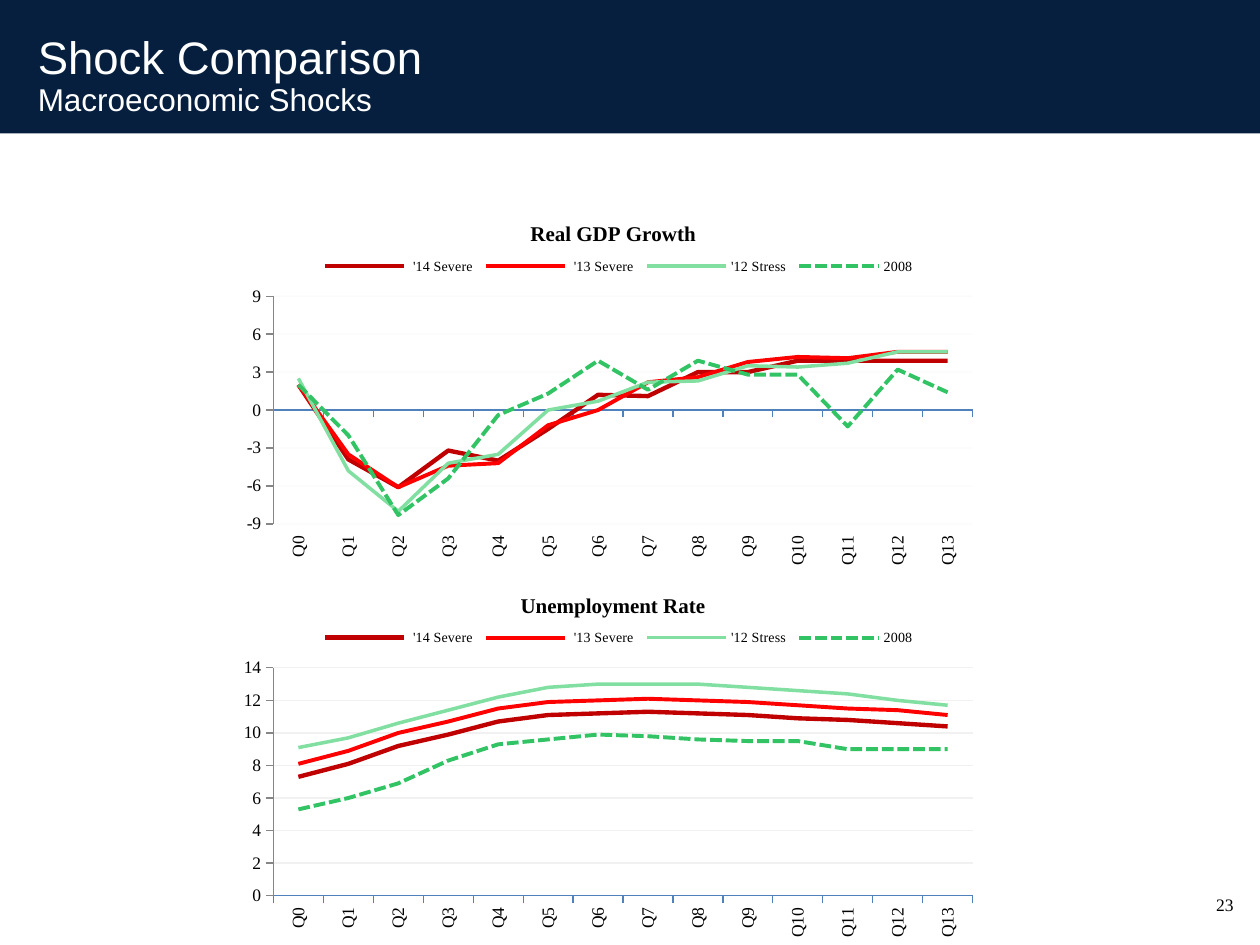
from lxml.etree import SubElement
from pptx import Presentation
from pptx.chart.data import CategoryChartData
from pptx.dml.color import RGBColor
from pptx.enum.chart import XL_CHART_TYPE as ChartType
from pptx.enum.chart import XL_LEGEND_POSITION as LegendPos
from pptx.enum.chart import XL_TICK_LABEL_POSITION as LabelPos
from pptx.enum.chart import XL_TICK_MARK as Tick
from pptx.enum.dml import MSO_LINE_DASH_STYLE as Dash
from pptx.enum.shapes import MSO_SHAPE
from pptx.enum.text import MSO_ANCHOR, PP_ALIGN
from pptx.oxml import parse_xml
from pptx.oxml.ns import nsdecls, qn
from pptx.util import Pt

PX = 9144  # 100 px to the inch
SANS, SERIF = "Arial", "Times New Roman"
QUARTERS = [f"Q{n}" for n in range(14)]
CHART_W, CHART_H = 600, 300

# name, colour, width in points, dash
SCENARIOS = [
    (" '14 Severe", "C00000", 2.5, None),
    (" '13 Severe", "FF0000", 2.25, None),
    ("'12 Stress", "81DFA1", 2, None),
    ("2008", "32C464", 2.25, Dash.SQUARE_DOT),
]
UNEMPLOYMENT = [
    [7.3, 8.1, 9.2, 9.9, 10.7, 11.1, 11.2, 11.3, 11.2, 11.1, 10.9, 10.8, 10.6, 10.4],
    [8.1, 8.9, 10, 10.7, 11.5, 11.9, 12, 12.1, 12, 11.9, 11.7, 11.5, 11.4, 11.1],
    [9.1, 9.7, 10.6, 11.4, 12.2, 12.8, 13, 13, 13, 12.8, 12.6, 12.4, 12, 11.7],
    [5.3, 6, 6.9, 8.3, 9.3, 9.6, 9.9, 9.8, 9.6, 9.5, 9.5, 9, 9, 9],
]
GDP_GROWTH = [
    [2, -3.9, -6.1, -3.2, -4, -1.5, 1.2, 1.1, 3, 3, 3.9, 3.9, 3.9, 3.9],
    [2, -3.5, -6.1, -4.4, -4.2, -1.2, 0, 2.2, 2.6, 3.8, 4.2, 4.1, 4.6, 4.6],
    [2.5, -4.8, -8, -4.2, -3.5, 0, 0.7, 2.2, 2.3, 3.5, 3.4, 3.7, 4.6, 4.6],
    [2, -2, -8.3, -5.4, -0.4, 1.3, 3.9, 1.6, 3.9, 2.8, 2.8, -1.3, 3.2, 1.4],
]


def px(*lengths):
    return [length * PX for length in lengths]


def rgb(color):
    return RGBColor.from_string(color)


def style_font(font, size, color="000000", name=SERIF, bold=False):
    font.size, font.name, font.bold = Pt(size), name, bold
    font.color.rgb = rgb(color)


def style_line(line, color, width):
    line.color.rgb = rgb(color)
    line.width = Pt(width)


def place_part(part, x, y, w=None, h=None):
    """Fix a chart part at px offsets inside the chart frame."""
    is_plot = part.tag == qn("c:plotArea")
    for old in part.findall(qn("c:layout")):
        part.remove(old)
    modes = '<c:layoutTarget val="inner"/>' if is_plot else ""
    modes += '<c:xMode val="edge"/><c:yMode val="edge"/>'
    sizes = zip("xywh", (x, y, w, h), (CHART_W, CHART_H) * 2)
    values = "".join(f'<c:{key} val="{length / full:.3f}"/>'
                     for key, length, full in sizes if length is not None)
    layout = parse_xml(f'<c:layout {nsdecls("c")}><c:manualLayout>{modes}{values}'
                       "</c:manualLayout></c:layout>")
    if is_plot:
        part.insert(0, layout)
    else:
        part.find(qn("c:overlay")).addprevious(layout)


def add_header(slide, x, y, w, h):
    band = slide.shapes.add_shape(MSO_SHAPE.RECTANGLE, *px(x, y, w, h))
    band.shadow.inherit = False
    band.fill.solid()
    band.fill.fore_color.rgb = rgb("061F3F")
    band.line.fill.background()

    heading = slide.shapes.title
    band._element.getparent().append(heading._element)  # bring in front of the band
    heading.left, heading.top, heading.width, heading.height = px(x + 20, y + 22, 925, 77)
    frame = heading.text_frame
    frame.text = "Shock Comparison\vMacroeconomic Shocks"
    frame.vertical_anchor = MSO_ANCHOR.BOTTOM
    paragraph = frame.paragraphs[0]
    paragraph.alignment = PP_ALIGN.LEFT
    paragraph.line_spacing = 0.9
    for run, size in zip(paragraph.runs, (26, 18)):
        style_font(run.font, size, "FFFFFF", SANS)


def add_scenario_chart(slide, x, y, heading, heading_x, values, limits, grid_alpha=None):
    data = CategoryChartData()
    data.categories = QUARTERS
    for (name, *_), row in zip(SCENARIOS, values):
        data.add_series(name, row)
    chart = slide.shapes.add_chart(ChartType.LINE, *px(x, y, CHART_W, CHART_H), data).chart
    style_font(chart.font, 10)

    chart.has_title = True
    title_frame = chart.chart_title.text_frame
    title_frame.text = heading
    style_font(title_frame.paragraphs[0].runs[0].font, 12, bold=True)
    place_part(chart.chart_title._element, heading_x, 17)

    chart.has_legend = True
    legend = chart.legend
    legend.position = LegendPos.TOP
    legend.include_in_layout = False
    style_font(legend.font, 8)
    place_part(legend._element, 67, 44, 480, 24)
    place_part(chart._chartSpace.chart.plotArea, 33, 80, 555, 181)

    plot = chart.plots[0]
    plot.vary_by_categories = False
    for series, (_, color, width, dash) in zip(plot.series, SCENARIOS):
        series.smooth = False
        style_line(series.format.line, color, width)
        if dash:
            series.format.line.dash_style = dash

    quarters = chart.category_axis
    quarters.tick_label_position = LabelPos.LOW
    quarters.major_tick_mark = Tick.OUTSIDE
    style_line(quarters.format.line, "4F81BD", 0.75)
    style_font(quarters.tick_labels.font, 10)
    label_body = quarters._element.find(qn("c:txPr")).find(qn("a:bodyPr"))
    label_body.set("rot", "-5400000")
    label_body.set("vert", "horz")

    scale = chart.value_axis
    scale.minimum_scale, scale.maximum_scale, scale.major_unit = limits
    scale.major_tick_mark = Tick.OUTSIDE
    scale.tick_labels.number_format = "#,##0"
    scale.tick_labels.number_format_is_linked = False
    style_line(scale.format.line, "868686", 0.75)
    scale.has_major_gridlines = True
    grid = scale.major_gridlines
    style_line(grid.format.line, "F1F1F1", 0.75)
    if grid_alpha:
        tint = next(scale._element.find(qn("c:majorGridlines")).iter(qn("a:srgbClr")))
        SubElement(tint, qn("a:alpha")).set("val", str(grid_alpha * 1000))


def add_page_number(slide, x, y, w, h):
    frame = slide.shapes.add_textbox(*px(x, y, w, h)).text_frame
    frame.margin_left = frame.margin_right = frame.margin_top = frame.margin_bottom = 5 * PX
    frame.word_wrap = False
    frame.vertical_anchor = MSO_ANCHOR.BOTTOM
    frame.text = "23"
    frame.paragraphs[0].alignment = PP_ALIGN.RIGHT
    style_font(frame.paragraphs[0].runs[0].font, 10)


def main():
    deck = Presentation()
    deck.slide_width, deck.slide_height = px(1000, 750)
    slide = deck.slides.add_slide(deck.slide_layouts[5])
    add_header(slide, 0, 0, 1000, 106)
    add_page_number(slide, 957, 704, 27, 27)
    add_scenario_chart(slide, 184, 450, "Unemployment Rate", 226, UNEMPLOYMENT, (0, 14, 2))
    add_scenario_chart(slide, 184, 155, "Real GDP Growth", 234, GDP_GROWTH, (-9, 9, 3), 30)
    deck.save("out.pptx")


if __name__ == "__main__":
    main()
